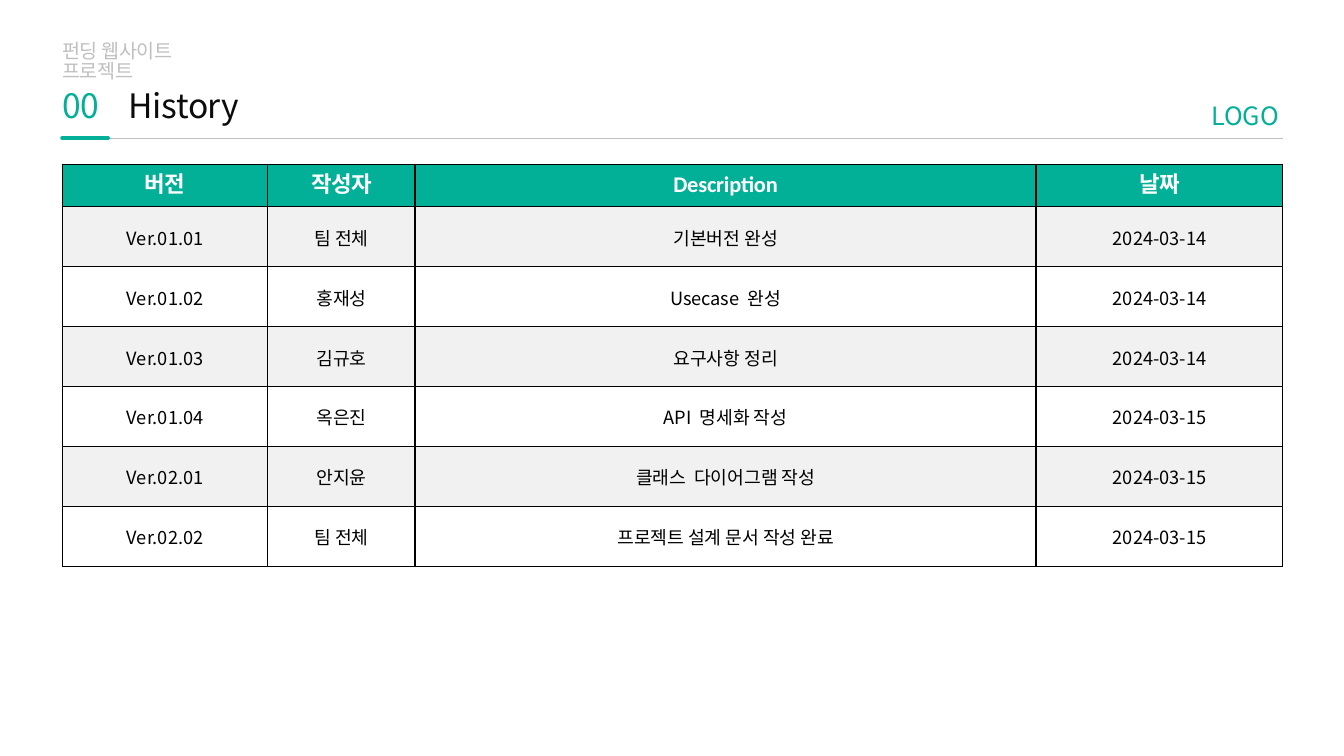
"""Build the version history slide of a funding website project."""
from lxml.etree import SubElement
from pptx import Presentation
from pptx.dml.color import RGBColor
from pptx.enum.shapes import MSO_CONNECTOR
from pptx.enum.text import MSO_ANCHOR, MSO_AUTO_SIZE, PP_ALIGN
from pptx.oxml import parse_xml
from pptx.oxml.ns import nsdecls, qn
from pptx.util import Cm, Pt

GREEN = RGBColor(0x02, 0xB0, 0x97)
GRAY = RGBColor(0xBF, 0xBF, 0xBF)
BAND = RGBColor(0xF1, 0xF1, 0xF1)
INK = RGBColor(0x0C, 0x0C, 0x0C)
BLACK = RGBColor(0, 0, 0)
WHITE = RGBColor(0xFF, 0xFF, 0xFF)
SANS = "Noto Sans CJK KR"
LEFT, RIGHT, RULE_TOP, ACCENT_END = 1.57, 32.33, 3.48, 2.72


def add_span(para, text, size, color, font=SANS, spacing=0):
    span = para.add_run()
    span.text = text
    span.font.size = Pt(size)
    span.font.name = font
    span.font.color.rgb = color
    properties = span.font._element
    properties.set("spc", str(spacing))
    SubElement(properties, qn("a:ea")).set("typeface", font)
    return span


deck = Presentation()
deck.slide_width, deck.slide_height = Cm(33.87), Cm(19.05)
page = deck.slides.add_slide(deck.slide_layouts[6])

headings = [
    (["History"], 3.25, 2.29, 2.92, 1.02, 24, INK, -30, PP_ALIGN.LEFT, MSO_ANCHOR.TOP),
    (["LOGO"], 30.48, 2.54, 1.75, 0.76, 18, GREEN, 0, PP_ALIGN.RIGHT, MSO_ANCHOR.BOTTOM),
    (["00"], LEFT, 2.29, 1.17, 1.02, 24, GREEN, -30, PP_ALIGN.LEFT, MSO_ANCHOR.TOP),
    (["펀딩 웹사이트", "프로젝트"], LEFT, 1.47, 4.42, 0.61, 14, GRAY, -30,
     PP_ALIGN.LEFT, MSO_ANCHOR.BOTTOM),
]
for lines, left, top, width, height, size, color, spacing, align, anchor in headings:
    box = page.shapes.add_textbox(Cm(left), Cm(top), Cm(width), Cm(height))
    frame = box.text_frame
    frame.margin_left = frame.margin_top = frame.margin_right = frame.margin_bottom = 0
    frame.word_wrap = True
    frame.auto_size = MSO_AUTO_SIZE.SHAPE_TO_FIT_TEXT
    frame.vertical_anchor = anchor
    para = frame.paragraphs[0]
    para.alignment = align
    para.line_spacing = 0.85
    for index, line in enumerate(lines):
        if index:
            para.add_line_break()
        add_span(para, line, size, color, spacing=spacing)

rules = [(ACCENT_END, RIGHT, GRAY, 0.5, "flat"), (LEFT, ACCENT_END, GREEN, 3, "rnd")]
for start, end, color, weight, cap in rules:
    rule = page.shapes.add_connector(
        MSO_CONNECTOR.STRAIGHT, Cm(start), Cm(RULE_TOP), Cm(end), Cm(RULE_TOP))
    rule.line.color.rgb = color
    rule.line.width = Pt(weight)
    rule.line._get_or_add_ln().set("cap", cap)
    SubElement(rule._element.spPr, qn("a:effectLst"))

history = [
    ("버전", "작성자", "Description", "날짜"),
    ("Ver.01.01", "팀 전체", "기본버전 완성", "2024-03-14"),
    ("Ver.01.02", "홍재성", "Usecase  완성", "2024-03-14"),
    ("Ver.01.03", "김규호", "요구사항 정리", "2024-03-14"),
    ("Ver.01.04", "옥은진", "API  명세화 작성", "2024-03-15"),
    ("Ver.02.01", "안지윤", "클래스  다이어그램 작성", "2024-03-15"),
    ("Ver.02.02", "팀 전체", "프로젝트 설계 문서 작성 완료", "2024-03-15"),
]
table = page.shapes.add_table(
    len(history), 4, Cm(LEFT), Cm(4.14), Cm(RIGHT - LEFT), Cm(10.13)).table
table.first_row = table.horz_banding = False
for column, width in zip(table.columns, (5.18, 3.71, 15.65, 6.22)):
    column.width = Cm(width)

for row_index, entries in enumerate(history):
    is_header = row_index == 0
    table.rows[row_index].height = Cm(1.07 if is_header else 1.51)
    for column_index, text in enumerate(entries):
        cell = table.cell(row_index, column_index)
        gap = Pt(5 if is_header else 12.5)
        cell.margin_left = cell.margin_right = cell.margin_bottom = 0
        cell.margin_top = gap
        para = cell.text_frame.paragraphs[0]
        para.alignment = PP_ALIGN.CENTER
        para.space_before = gap
        if is_header:
            spacing = -10 if text == "Description" else -20
            add_span(para, text, 16, WHITE, "Calibri", spacing).font.bold = True
        else:
            add_span(para, text, 13, BLACK)
        properties = cell._tc.get_or_add_tcPr()
        for side in ("lnL", "lnR", "lnT", "lnB"):
            properties.append(parse_xml(
                f'<a:{side} {nsdecls("a")} w="{Pt(1)}"><a:solidFill>'
                f'<a:srgbClr val="{BLACK}"/></a:solidFill></a:{side}>'))
        if is_header or row_index % 2:
            cell.fill.solid()
            cell.fill.fore_color.rgb = GREEN if is_header else BAND
        else:
            cell.fill.background()

deck.save("out.pptx")
